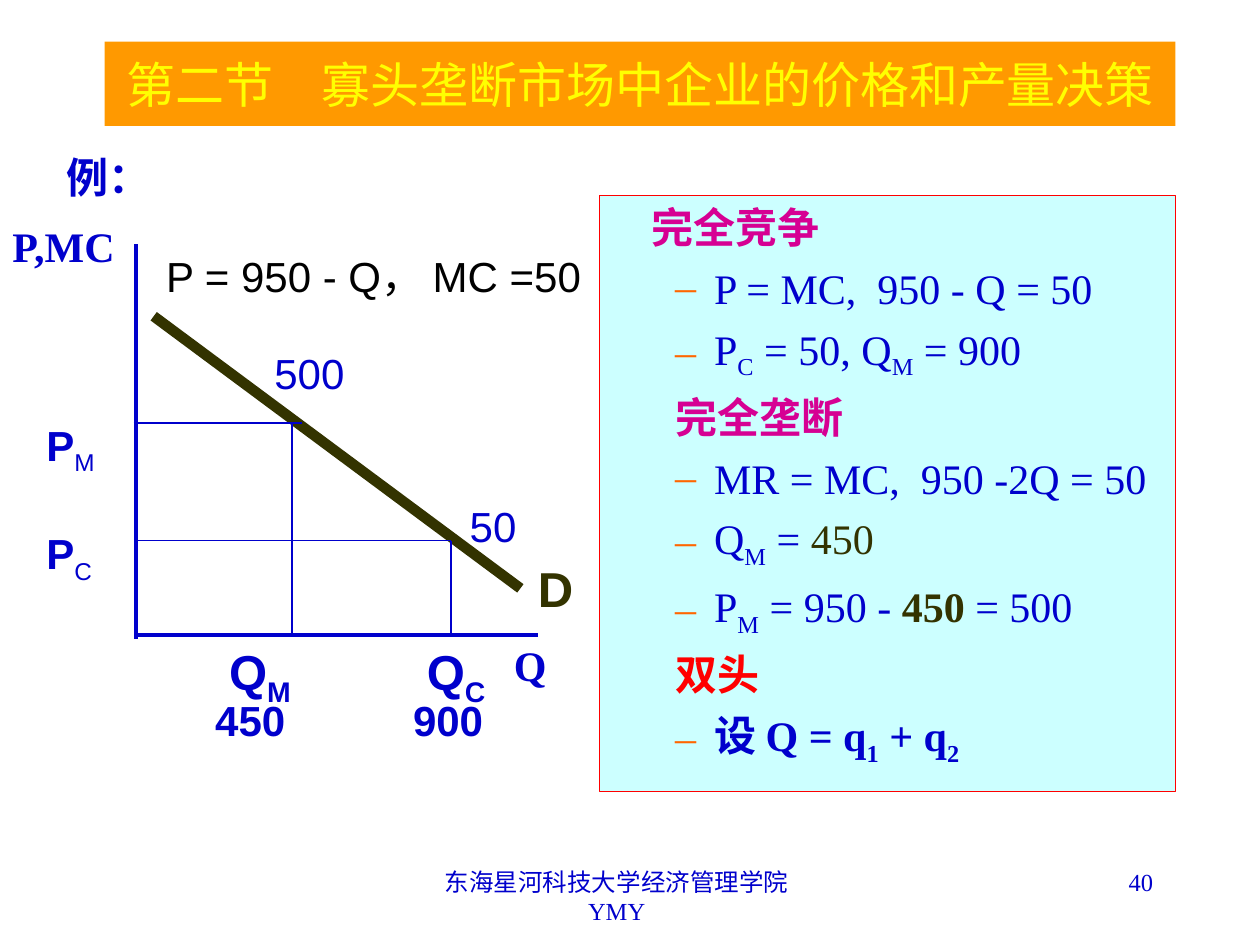
"""Build a slide on price and output under competition, monopoly and duopoly."""
from lxml import etree
from pptx import Presentation
from pptx.dml.color import RGBColor
from pptx.enum.shapes import MSO_CONNECTOR, MSO_SHAPE
from pptx.enum.text import MSO_ANCHOR, PP_ALIGN
from pptx.oxml.ns import qn
from pptx.util import Inches, Pt

paint = RGBColor.from_string
BLUE, DARK, PINK, RED = "0000CC", "333300", "D60093", "FF0000"
SERIF, SANS = "Times New Roman", "Arial"
LEFT, MID, RIGHT = PP_ALIGN.LEFT, PP_ALIGN.CENTER, PP_ALIGN.RIGHT


def write(para, parts, size, face, hue, bold):
    """Fill a paragraph; text between underscores is subscript."""
    para.font.size = Pt(size)
    para.font.name = face
    para.font.bold = bold
    para.font.color.rgb = paint(hue)
    for text, tint, weight in parts:
        for i, piece in enumerate(text.split("_")):
            if not piece:
                continue
            run = para.add_run()
            run.text = piece
            if tint != hue:
                run.font.color.rgb = paint(tint)
            if weight != bold:
                run.font.bold = weight
            if i % 2:
                run._r.get_or_add_rPr().set("baseline", "-25000")


def label(x, y, w, h, text, size, face, hue, bold, align, wrap):
    """Add a text box with one paragraph."""
    box = slide.shapes.add_textbox(Inches(x), Inches(y), Inches(w), Inches(h))
    box.text_frame.word_wrap = wrap
    para = box.text_frame.paragraphs[0]
    para.alignment = align
    write(para, [(text, hue, bold)], size, face, hue, bold)
    return para


deck = Presentation()
deck.slide_width, deck.slide_height = Inches(10), Inches(7.5)
slide = deck.slides.add_slide(deck.slide_layouts[6])

foot = label(3.31, 6.83, 3.17, 0.5, "东海星河科技大学经济管理学院", 14, SERIF, BLUE, False, MID, True)
foot.add_line_break()
foot.add_run().text = "YMY"
label(7.17, 6.83, 2.08, 0.5, "40", 14, SERIF, BLUE, False, RIGHT, True)

panel = slide.shapes.add_shape(
    MSO_SHAPE.RECTANGLE, Inches(4.76), Inches(1.55), Inches(4.57), Inches(4.73))
panel._element.remove(panel._element.find(qn("p:style")))
panel.shadow.inherit = False
panel.fill.solid()
panel.fill.fore_color.rgb = paint("CCFFFF")
panel.line.color.rgb = paint(RED)
panel.line.width = Pt(0.75)
frame = panel.text_frame
frame.word_wrap = True
frame.vertical_anchor = MSO_ANCHOR.TOP

rows = [
    (0.31, 0, False, [("完全竞争", PINK, True)]),
    (0.81, -0.31, True, [("P = MC,  950 - Q = 50", BLUE, False)]),
    (0.81, -0.31, True, [("P_C_ = 50, Q_M_ = 900", BLUE, False)]),
    (0.81, -0.31, False, [("完全垄断", PINK, True)]),
    (0.81, -0.31, True, [("MR = MC,  950 -2Q = 50", BLUE, False)]),
    (0.81, -0.31, True, [("Q_M_ = ", BLUE, False), ("450", DARK, False)]),
    (0.81, -0.31, True, [("P_M_ = 950 - ", BLUE, False), ("450", DARK, True),
                         (" = 500", BLUE, False)]),
    (0.81, -0.31, False, [("双头", RED, True)]),
    (0.81, -0.31, True, [("设 Q = q_1_ + q_2_", BLUE, True)]),
]
for n, (edge, dent, dash, parts) in enumerate(rows):
    para = frame.add_paragraph() if n else frame.paragraphs[0]
    para.alignment = LEFT
    para.level = min(n, 1)
    para.space_before = Pt(6)
    props = para._p.get_or_add_pPr()
    props.set("marL", str(Inches(edge)))
    props.set("indent", str(Inches(dent)))
    if dash:
        tint = etree.SubElement(props, qn("a:buClr"))
        etree.SubElement(tint, qn("a:srgbClr")).set("val", "FF6600")
        etree.SubElement(props, qn("a:buFont")).set("typeface", SERIF)
        etree.SubElement(props, qn("a:buChar")).set("char", "–")
    write(para, parts, 24, SERIF, parts[0][1], parts[0][2])

for x1, y1, x2, y2, hue, width in [
    (1.08, 5.04, 4.27, 5.04, BLUE, 2),
    (1.08, 1.94, 1.08, 5.07, BLUE, 2.25),
    (1.22, 2.51, 4.13, 4.67, DARK, 6),
    (1.06, 3.36, 2.4, 3.36, BLUE, 1),
    (3.58, 4.29, 1.08, 4.29, BLUE, 1),
    (2.32, 3.36, 2.32, 5.04, BLUE, 1),
    (3.58, 4.29, 3.58, 5.04, BLUE, 1),
]:
    line = slide.shapes.add_connector(
        MSO_CONNECTOR.STRAIGHT, Inches(x1), Inches(y1), Inches(x2), Inches(y2))
    line.line.color.rgb = paint(hue)
    line.line.width = Pt(width)
    etree.SubElement(line._element.spPr, qn("a:effectLst"))

for y, sub in [(3.28, "_M"), (4.14, "_C")]:
    para = label(0.27, y, 0.7, 0.5, "P", 24, SANS, BLUE, True, LEFT, False)
    write(para, [(sub, BLUE, False)], 24, SANS, BLUE, True)

for x, name, count in [(1.72, "Q_M", "450"), (3.29, "Q_C", "900")]:
    label(x, 5.04, 0.9, 0.63, name, 28, SANS, BLUE, True, LEFT, True)
    label(x - 0.11, 5.46, 0.9, 0.5, count, 24, SANS, BLUE, True, LEFT, True)

for x, y, w, h, text, size, face, hue, bold, align in [
    (4.17, 4.38, 0.6, 0.56, "D", 28, SANS, DARK, True, LEFT),
    (2.08, 2.71, 0.9, 0.5, "500", 24, SANS, BLUE, False, LEFT),
    (3.63, 3.92, 0.7, 0.5, "50", 24, SANS, BLUE, False, LEFT),
    (1.22, 1.94, 3.9, 0.5, "P = 950 - Q， MC =50", 24, SANS, "000000", False, LEFT),
    (0.43, 1.15, 1, 0.5, "例：", 24, SERIF, BLUE, True, LEFT),
    (0, 1.7, 1.2, 0.5, "P,MC", 24, SERIF, BLUE, True, LEFT),
    (3.98, 5.03, 0.6, 0.5, "Q", 24, SERIF, BLUE, True, LEFT),
]:
    label(x, y, w, h, text, size, face, hue, bold, align, True)

band = slide.shapes.add_shape(
    MSO_SHAPE.RECTANGLE, Inches(0.83), Inches(0.33), Inches(8.5), Inches(0.67))
band.shadow.inherit = False
band.fill.solid()
band.fill.fore_color.rgb = paint("FF9900")
band.line.fill.background()
band.text_frame.word_wrap = True
band.text_frame.vertical_anchor = MSO_ANCHOR.MIDDLE
para = band.text_frame.paragraphs[0]
para.alignment = MID
write(para, [("第二节　寡头垄断市场中企业的价格和产量决策", "FFFF00", False)], 28, SERIF, "FFFF00", False)

deck.save("out.pptx")
